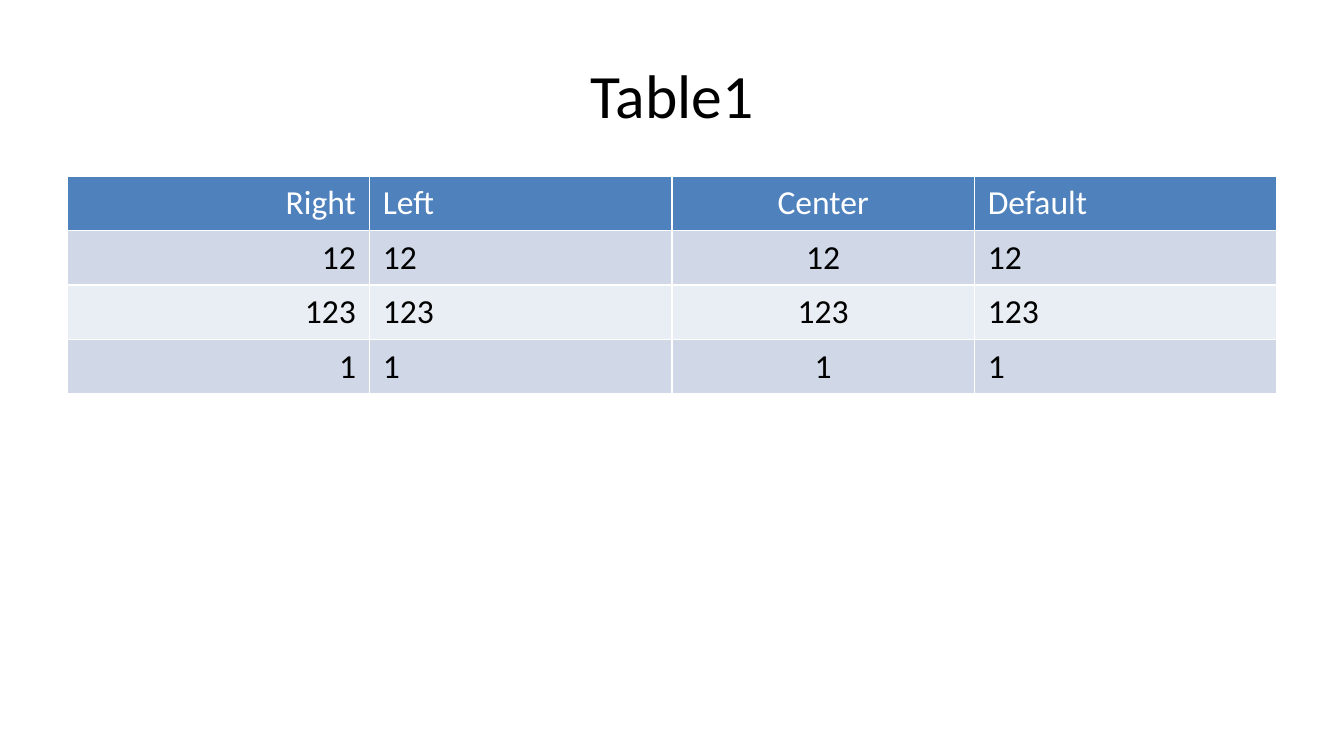
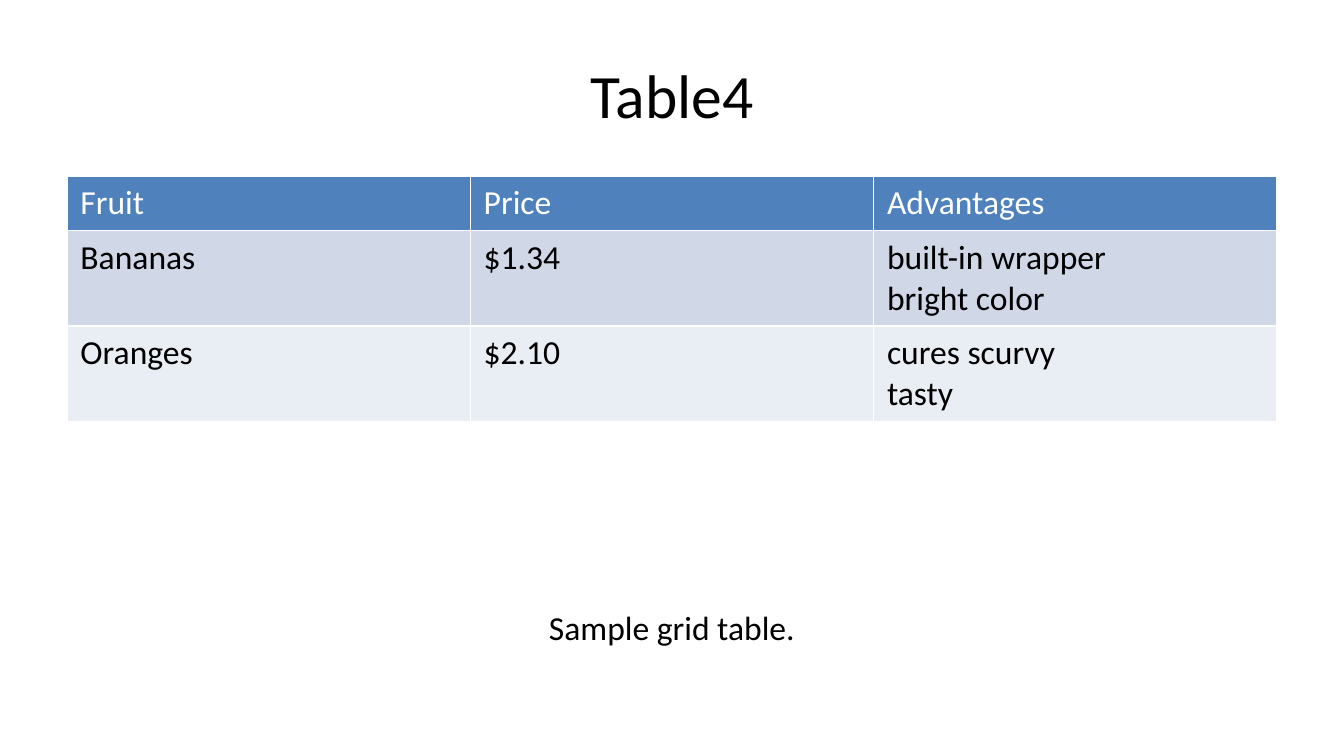
from dataclasses import dataclass

from pptx import Presentation
from pptx import util as u
from pptx.dml.color import RGBColor
from pptx.enum import text

PX_PER_INCH = 134.4
LEFT, CONTENT_W = 67, 1210
TABLE_TOP = 176
TITLE_BOX = (LEFT, 31, CONTENT_W, 126)
CAPTION_BOX = (LEFT, 600, CONTENT_W, 75)
ALIGN = {"l": text.PP_ALIGN.LEFT, "c": text.PP_ALIGN.CENTER, "r": text.PP_ALIGN.RIGHT}


@dataclass(frozen=True)
class Theme:
    font: str = "Calibri"
    title_size: int = 33
    body_size: int = 18
    ink: str = "000000"
    header_ink: str = "FFFFFF"
    header_fill: str = "4F81BD"
    bands: tuple = ("D0D8E8", "E9EDF4")


THEME = Theme()


def px(n):
    return u.Emu(round(n * u.Inches(1) / PX_PER_INCH))


def set_attrs(obj, values):
    for name, value in values.items():
        setattr(obj, name, value)


def write(tf, lines, size, color, align=None):
    for i, line in enumerate(lines):
        p = tf.paragraphs[0] if i == 0 else tf.add_paragraph()
        p.alignment = align
        r = p.add_run()
        r.text = line
        set_attrs(r.font, {"name": THEME.font, "size": u.Pt(size), "bold": False})
        r.font.color.rgb = RGBColor.from_string(color)


def add_title_slide(prs, title):
    s = prs.slides.add_slide(prs.slide_layouts[5])
    sp = s.shapes.title
    set_attrs(sp, dict(zip(("left", "top", "width", "height"), map(px, TITLE_BOX))))
    set_attrs(sp.text_frame, {"vertical_anchor": text.MSO_ANCHOR.MIDDLE, "word_wrap": True})
    write(sp.text_frame, [title], THEME.title_size, THEME.ink, ALIGN["c"])
    return s


def add_data_table(s, rows, height, aligns=None):
    n_cols = len(rows[0])
    frame = s.shapes.add_table(len(rows), n_cols, px(LEFT), px(TABLE_TOP),
                               px(CONTENT_W), px(height))
    table = frame.table
    for row in table.rows:
        row.height = 0
    frame.height = px(height)
    for i, values in enumerate(rows):
        header = i == 0
        fill = THEME.header_fill if header else THEME.bands[(i - 1) % 2]
        color = THEME.header_ink if header else THEME.ink
        for j, value in enumerate(values):
            cell = table.cell(i, j)
            cell.fill.solid()
            cell.fill.fore_color.rgb = RGBColor.from_string(fill)
            align = ALIGN[aligns[j]] if aligns else None
            write(cell.text_frame, value.split("\n"), THEME.body_size, color, align)


def add_caption(s, caption):
    tf = s.shapes.add_textbox(*map(px, CAPTION_BOX)).text_frame
    tf.word_wrap = True
    write(tf, [caption], THEME.body_size, THEME.ink, ALIGN["c"])


def main():
    prs = Presentation()
    set_attrs(prs, {"slide_width": px(1344), "slide_height": px(756)})

    s = add_title_slide(prs, "Table1")
    numbers = [[n] * 4 for n in ("12", "123", "1")]
    add_data_table(s, [["Right", "Left", "Center", "Default"], *numbers], 499, "rlcl")

    s = add_title_slide(prs, "Table4")
    add_data_table(s, [
        ["Fruit", "Price", "Advantages"],
        ["Bananas", "$1.34", "built-in wrapper\nbright color"],
        ["Oranges", "$2.10", "cures scurvy\ntasty"],
    ], 424)
    add_caption(s, "Sample grid table.")

    prs.save("out.pptx")


main()
